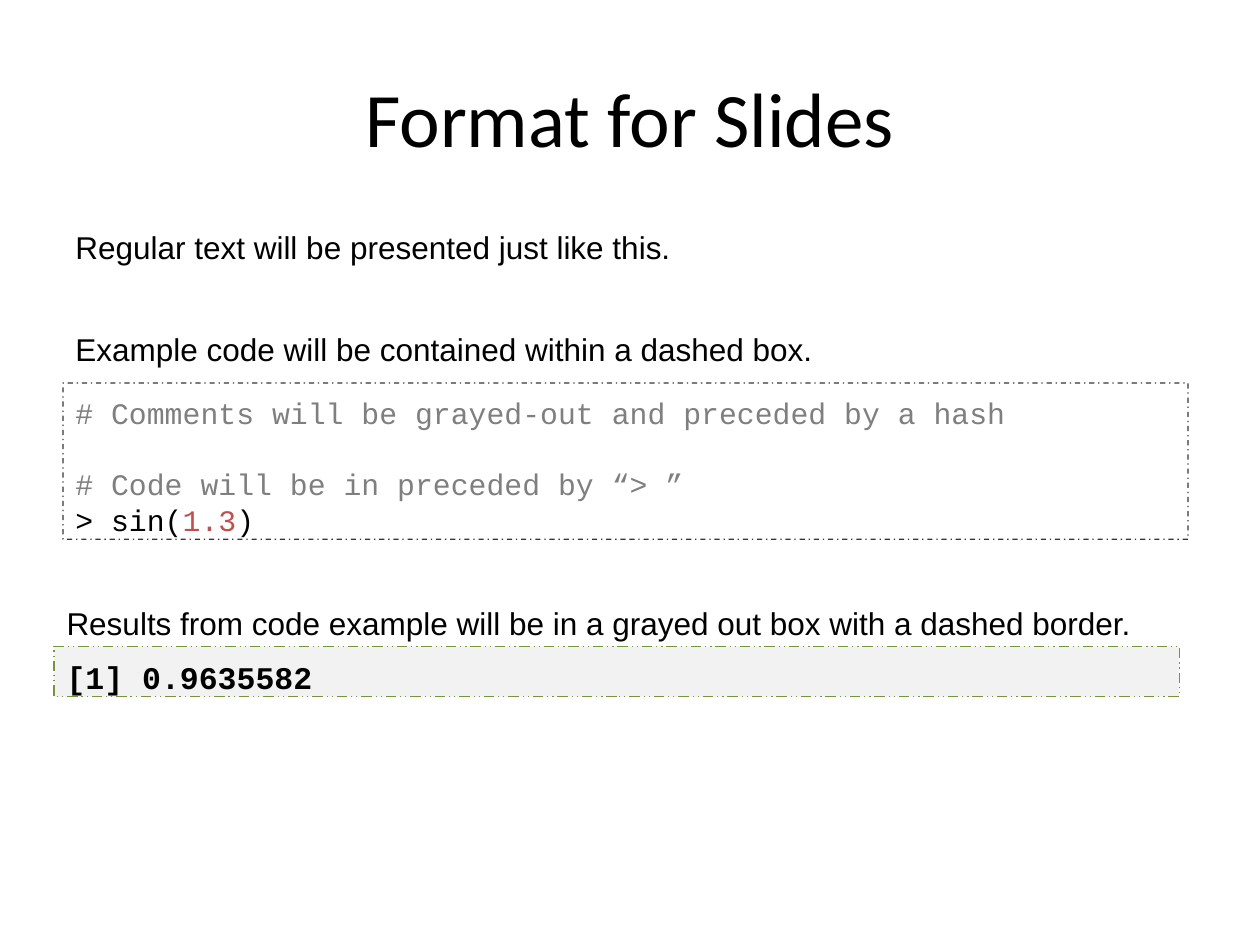
from dataclasses import dataclass

from lxml.etree import SubElement
from pptx import Presentation
from pptx.dml.color import RGBColor as RGB
from pptx.enum.dml import MSO_LINE
from pptx.enum.shapes import MSO_SHAPE as SHAPE
from pptx.enum.text import MSO_ANCHOR as ANCHOR, PP_ALIGN as ALIGN
from pptx.oxml.ns import qn
from pptx.util import Inches, Pt


@dataclass(frozen=True)
class Theme:
    """Colours, fonts and type sizes of the slide."""
    black: RGB = RGB.from_string("000000")
    comment: RGB = RGB.from_string("7F7F7F")
    number: RGB = RGB.from_string("C0504D")
    result_fill: RGB = RGB.from_string("F2F2F2")
    result_line: RGB = RGB.from_string("77933C")
    title_font: str = "Calibri"
    body_font: str = "Arial"
    code_font: str = "Courier New"
    title_size: Pt = Pt(44)
    body_size: Pt = Pt(18)
    code_size: Pt = Pt(17)
    border: Pt = Pt(0.75)
    code_pitch: float = 1.2


THEME = Theme()


def set_font(font, name, size, color=None, bold=False):
    """Set the face, size, weight and optional colour of a font."""
    font.name, font.size, font.bold = name, size, bold
    if color is not None:
        font.color.rgb = color


def add_text(s, text, x, y, w=9, h=0.4, font=THEME.body_font, size=THEME.body_size,
             align=ALIGN.LEFT, anchor=ANCHOR.TOP):
    """Add one paragraph of plain text."""
    tf = s.shapes.add_textbox(Inches(x), Inches(y), Inches(w), Inches(h)).text_frame
    tf.word_wrap = True
    tf.vertical_anchor = anchor
    if anchor == ANCHOR.TOP:
        tf.margin_top = Inches(0.07)
    p = tf.paragraphs[0]
    p.text, p.alignment = text, align
    set_font(p.font, font, size, THEME.black)


def add_code_box(s, lines, x, y, h, size, dash, line, alpha=None, fill=None, bold=False):
    """Draw a dashed box of lines, each a pair of blank lines before and (text, colour) runs."""
    sp = s.shapes.add_shape(SHAPE.RECTANGLE, Inches(x), Inches(y), Inches(8.93), Inches(h))
    sp.shadow.inherit = False
    if fill is None:
        sp.fill.background()
    else:
        sp.fill.solid()
        sp.fill.fore_color.rgb = fill
    sp.line.color.rgb = line
    sp.line.width, sp.line.dash_style = THEME.border, dash
    if alpha is not None:
        color = sp._element.spPr.find(".//" + qn("a:ln") + "//" + qn("a:srgbClr"))
        SubElement(color, qn("a:alpha"), val=str(alpha * 1000))
    tf = sp.text_frame
    tf.word_wrap = True
    tf.vertical_anchor = ANCHOR.TOP
    tf.margin_top = Inches(0.09)
    pitch = Pt(size.pt * THEME.code_pitch)
    for i, (blanks, runs) in enumerate(lines):
        p = tf.add_paragraph() if i else tf.paragraphs[0]
        p.alignment, p.line_spacing = ALIGN.LEFT, pitch
        if blanks:
            p.space_before = blanks * pitch
        set_font(p.font, THEME.code_font, size, bold=bold)
        for text, color in runs:
            r = p.add_run()
            r.text = text
            r.font.color.rgb = color


def main():
    """Build and save the slide."""
    prs = Presentation()
    prs.slide_width, prs.slide_height = Inches(10), Inches(7.5)
    s = prs.slides.add_slide(prs.slide_layouts[6])
    add_text(s, "Format for Slides", 0.5, 0.3, h=1.25, font=THEME.title_font,
             size=THEME.title_size, align=ALIGN.CENTER, anchor=ANCHOR.MIDDLE)
    add_text(s, "Regular text will be presented just like this.", 0.5, 1.74)
    add_text(s, "Example code will be contained within a dashed box.", 0.5, 2.55)
    code = [
        (0, [("# Comments will be grayed-out and preceded by a hash", THEME.comment)]),
        (1, [("# Code will be in preceded by “> ”", THEME.comment)]),
        (0, [("> sin(", THEME.black), ("1.3", THEME.number), (")", THEME.black)]),
    ]
    add_code_box(s, code, 0.5, 3.04, 1.24, THEME.code_size, MSO_LINE.DASH_DOT,
                 THEME.black, alpha=79)
    add_code_box(s, [(0, [("[1] 0.9635582", THEME.black)])], 0.43, 5.13, 0.4,
                 THEME.body_size, MSO_LINE.DASH_DOT_DOT, THEME.result_line,
                 fill=THEME.result_fill, bold=True)
    add_text(s, "Results from code example will be in a grayed out box with a dashed border.",
             0.43, 4.72)
    prs.save("out.pptx")


if __name__ == "__main__":
    main()
